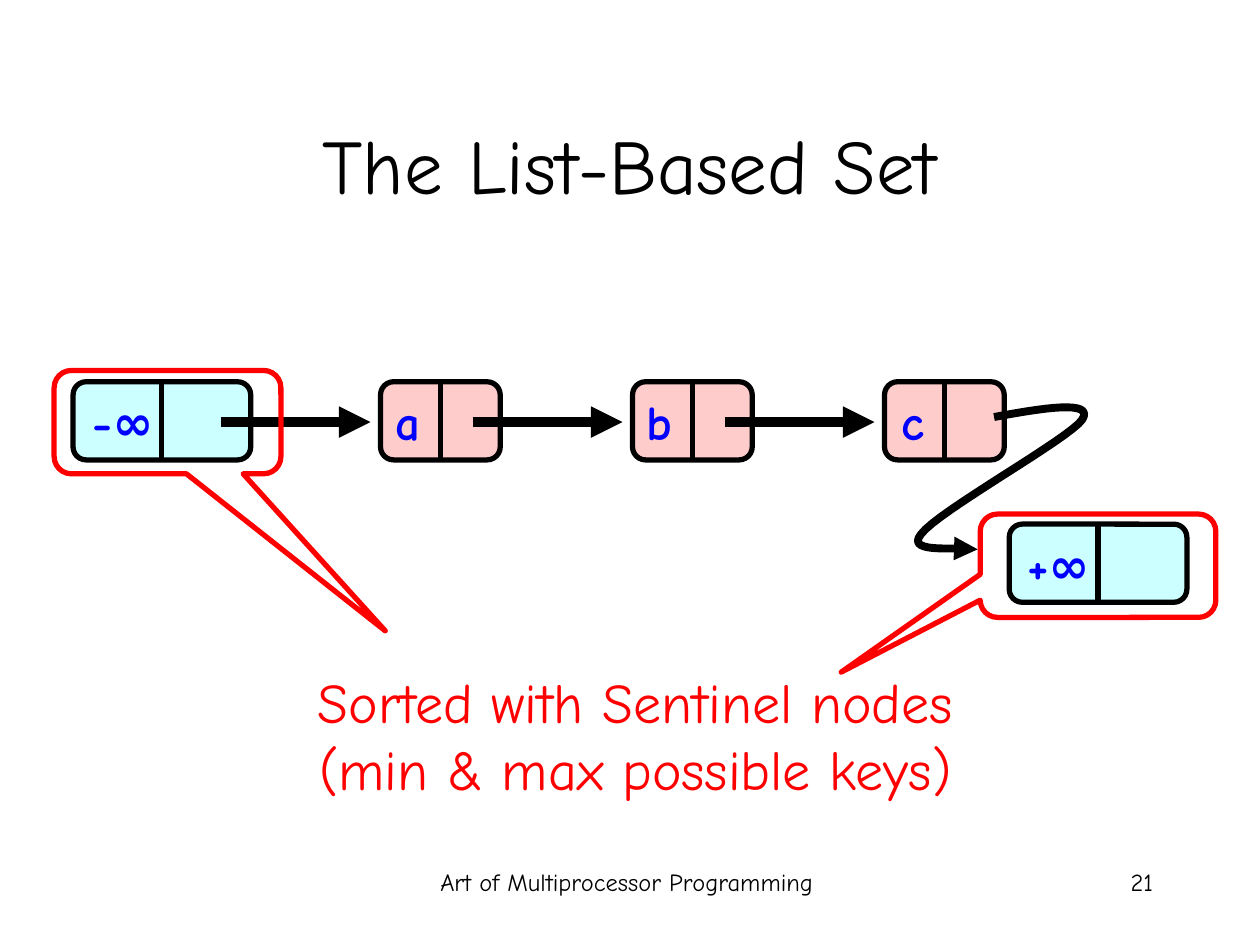
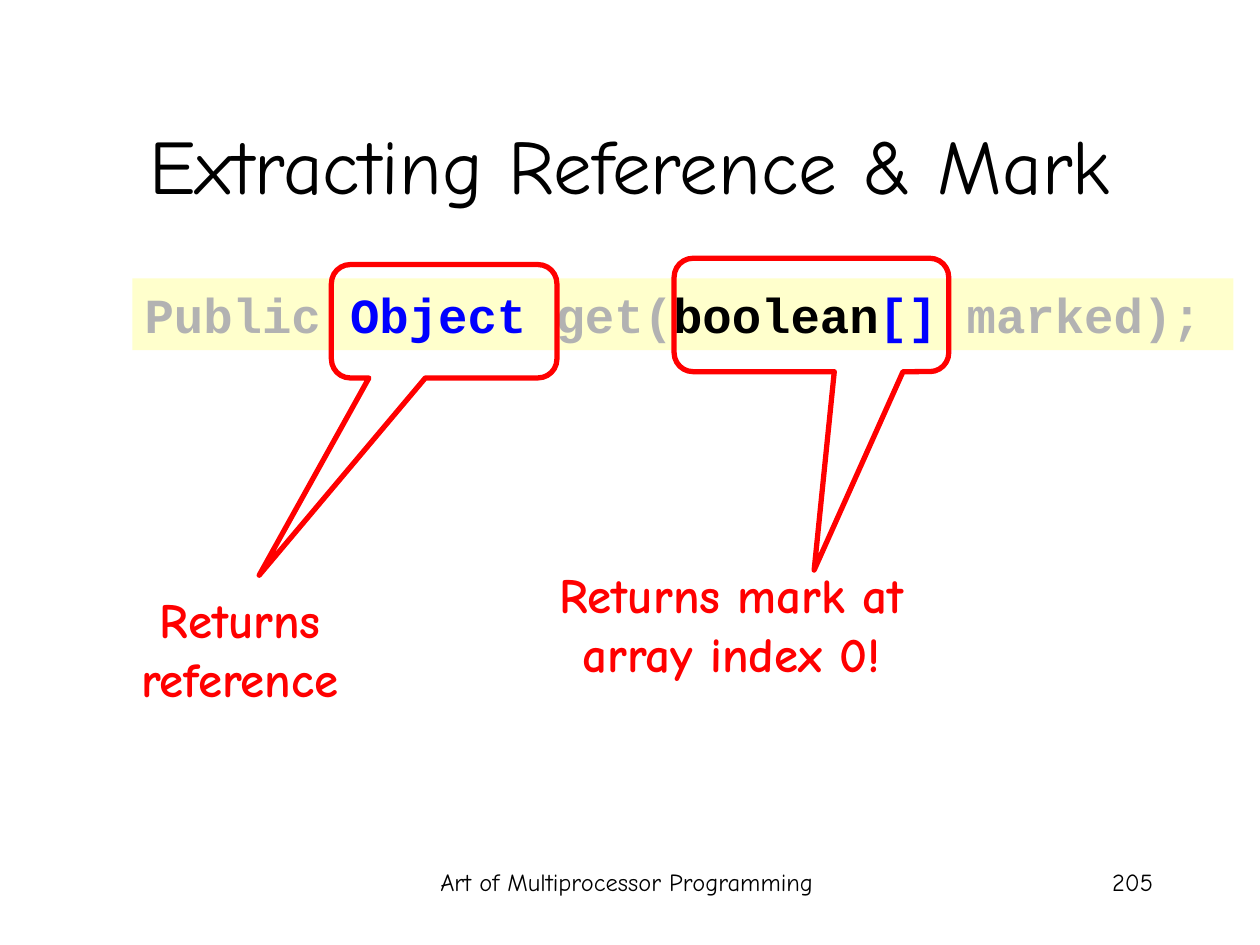
from dataclasses import dataclass

from lxml import etree
from pptx import Presentation
from pptx.dml.color import RGBColor
from pptx.enum.shapes import MSO_CONNECTOR, MSO_SHAPE
from pptx.enum.text import MSO_ANCHOR, PP_ALIGN
from pptx.oxml.ns import qn
from pptx.util import Inches, Pt

LEFT, CENTER, RIGHT = PP_ALIGN.LEFT, PP_ALIGN.CENTER, PP_ALIGN.RIGHT
TOP, MIDDLE = MSO_ANCHOR.TOP, MSO_ANCHOR.MIDDLE
ROUNDED = MSO_SHAPE.ROUNDED_RECTANGLE
CALLOUT = MSO_SHAPE.ROUNDED_RECTANGULAR_CALLOUT
STRAIGHT = MSO_CONNECTOR.STRAIGHT


@dataclass(frozen=True)
class Theme:
    black: str = "000000"
    blue: str = "0000FF"
    red: str = "FF0000"
    gray: str = "B2B2B2"
    sentinel: str = "CCFFFF"
    node: str = "FFCCCC"
    code_band: str = "FFFFCC"
    font: str = "Comic Neue"
    code_font: str = "Courier New"
    title_size: int = 44
    remark_size: int = 32
    body_size: int = 28
    footer_size: int = 14
    outline: float = 3
    curve: float = 4.5
    arrow: float = 6


THEME = Theme()
FOOTER = "Art of Multiprocessor Programming"
TITLE_BOX = (0.75, 0.67, 8.5, 1.25)
FOOTER_BOX = (3.1, 6.83, 3.75, 0.5)
NUMBER_BOX = (7.17, 6.83, 2.08, 0.5)

NODE_HEIGHT = 0.62
NODE_WIDTH = 0.95
SENTINEL_WIDTH = 1.41
NODE_PITCH = 2.0


def rgb(color):
    return RGBColor.from_string(color)


def inches(*values):
    return [Inches(value) for value in values]


def add_text(slide, box, paragraphs, size=THEME.body_size, color=THEME.black,
             font=THEME.font, bold=False, align=CENTER, anchor=TOP, wrap=True,
             fill=None):
    """Each paragraph is a string or a list of (text, color) runs."""
    shape = slide.shapes.add_textbox(*inches(*box))
    if fill:
        shape.fill.solid()
        shape.fill.fore_color.rgb = rgb(fill)
    frame = shape.text_frame
    frame.word_wrap = wrap
    frame.vertical_anchor = anchor
    for index, content in enumerate(paragraphs):
        paragraph = frame.add_paragraph() if index else frame.paragraphs[0]
        paragraph.alignment = align
        runs = [(content, color)] if isinstance(content, str) else content
        for text, run_color in runs:
            run = paragraph.add_run()
            run.text = text
            run.font.name = font
            run.font.size = Pt(size)
            run.font.bold = bold
            run.font.color.rgb = rgb(run_color)


def set_line(shape, color, width, arrow=False):
    shape.line.color.rgb = rgb(color)
    shape.line.width = Pt(width)
    if arrow:
        line = shape.element.spPr.find(qn("a:ln"))
        etree.SubElement(line, qn("a:tailEnd"), type="triangle")


def add_line(slide, start, end, width=THEME.outline, arrow=False):
    connector = slide.shapes.add_connector(STRAIGHT, *inches(*start, *end))
    set_line(connector, THEME.black, width, arrow)
    etree.SubElement(connector.element.spPr, qn("a:effectLst"))


def add_callout(slide, box, tip):
    """Outline a box; tip is the pointer end as fractions from its centre."""
    shape = slide.shapes.add_shape(CALLOUT, *inches(*box))
    shape.shadow.inherit = False
    shape.adjustments[0], shape.adjustments[1] = tip
    shape.fill.background()
    set_line(shape, THEME.red, THEME.outline)


def add_node(slide, left, top, width, key, fill, key_width, key_overhang):
    """Draw a two-cell list node; the key box ends key_overhang past the divider."""
    shape = slide.shapes.add_shape(ROUNDED, *inches(left, top, width, NODE_HEIGHT))
    shape.shadow.inherit = False
    shape.fill.solid()
    shape.fill.fore_color.rgb = rgb(fill)
    set_line(shape, THEME.black, THEME.outline)
    middle = left + width / 2
    add_line(slide, (middle, top), (middle, top + NODE_HEIGHT))
    key_left = middle + key_overhang - key_width
    add_text(slide, (key_left, top + 0.03, key_width, 0.57), [key],
             color=THEME.blue, bold=True, align=RIGHT, wrap=False)


def add_sentinel(slide, left, top, key):
    add_node(slide, left, top, SENTINEL_WIDTH, key, THEME.sentinel, 0.75, 0.03)


def bezier_points(start, curves, steps=16):
    """Sample a chain of cubic curves, each given as two controls and an end."""
    points = [start]
    for first, second, end in curves:
        origin = points[-1]
        for step in range(1, steps + 1):
            t = step / steps
            u = 1 - t
            points.append(tuple(
                u**3 * a + 3 * u**2 * t * b + 3 * u * t**2 * c + t**3 * d
                for a, b, c, d in zip(origin, first, second, end)))
    return points


def add_curved_arrow(slide, left, top, start, curves):
    points = [inches(left + x, top + y) for x, y in bezier_points(start, curves)]
    builder = slide.shapes.build_freeform(*points[0])
    builder.add_line_segments(points[1:], close=False)
    shape = builder.convert_to_shape()
    shape.shadow.inherit = False
    shape.fill.background()
    set_line(shape, THEME.black, THEME.curve, arrow=True)


def add_base_slide(presentation, title, number):
    slide = presentation.slides.add_slide(presentation.slide_layouts[6])
    add_text(slide, FOOTER_BOX, [FOOTER], size=THEME.footer_size)
    add_text(slide, NUMBER_BOX, [str(number)], size=THEME.footer_size, align=RIGHT)
    add_text(slide, TITLE_BOX, [title], size=THEME.title_size, anchor=MIDDLE)
    return slide


def add_linked_list(slide, left, top):
    """Draw the head sentinel, three nodes and the tail sentinel below them."""
    add_sentinel(slide, left, top, "-∞")
    for index, key in enumerate("abc"):
        offset = index * NODE_PITCH
        add_node(slide, left + 2.44 + offset, top, NODE_WIDTH, key,
                 THEME.node, 0.4, -0.06)
        arrow_left = left + 1.17 + offset
        add_line(slide, (arrow_left, top + 0.32), (arrow_left + 1.19, top + 0.32),
                 THEME.arrow, arrow=True)
    add_curved_arrow(slide, left, top, (7.31, 0.28), [
        ((7.69, 0.21), (8.11, 0.14), (8.01, 0.3)),
        ((7.91, 0.45), (6.86, 1.03), (6.73, 1.21)),
        ((6.59, 1.38), (7.09, 1.3), (7.18, 1.33)),
    ])
    add_sentinel(slide, left + 7.43, top + 1.13, "+∞")


def build_list_slide(presentation):
    slide = add_base_slide(presentation, "The List-Based Set", 21)
    add_linked_list(slide, 0.58, 3.03)
    add_callout(slide, (0.43, 2.94, 1.8, 0.82), (0.96, 2.02))
    add_callout(slide, (7.78, 4.08, 1.87, 0.82), (-1.09, 1.03))
    add_text(slide, (0.88, 5.25, 8.33, 1.17),
             ["Sorted with Sentinel nodes", "(min & max possible keys)"],
             size=THEME.remark_size, color=THEME.red)


def build_code_slide(presentation):
    slide = add_base_slide(presentation, "Extracting Reference & Mark", 205)
    signature = [
        ("Public", THEME.gray), (" Object ", THEME.blue), ("get(", THEME.gray),
        ("boolean", THEME.black), ("[]", THEME.blue), (" marked);", THEME.gray),
    ]
    add_text(slide, (1.05, 2.21, 8.74, 0.57), [signature], font=THEME.code_font,
             bold=True, align=LEFT, fill=THEME.code_band)
    remarks = [
        ("Returns reference", (0.63, 4.63, 2.55, 1.04),
         (2.63, 2.1, 1.79, 0.9), (-0.82, 2.24)),
        ("Returns mark at array index 0!", (3.99, 4.43, 3.63, 1.04),
         (5.35, 2.05, 2.18, 0.9), (0.01, 2.25)),
    ]
    for remark, remark_box, callout_box, tip in remarks:
        add_callout(slide, callout_box, tip)
        add_text(slide, remark_box, [remark], color=THEME.red, bold=True)


def main():
    presentation = Presentation()
    presentation.slide_width = Inches(10)
    presentation.slide_height = Inches(7.5)
    build_list_slide(presentation)
    build_code_slide(presentation)
    presentation.save("out.pptx")


if __name__ == "__main__":
    main()
